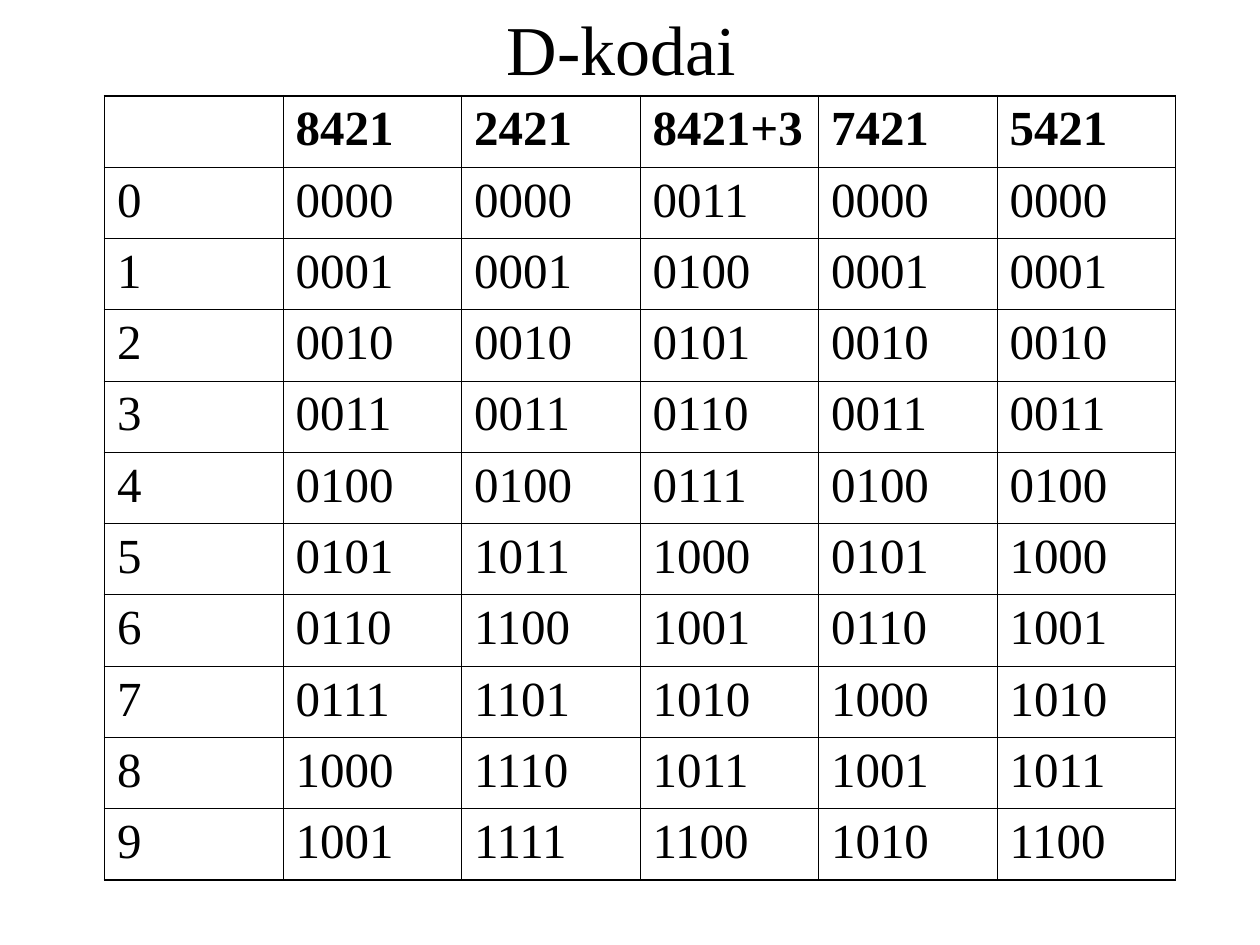
"""Build a slide with a table of decimal digit codes."""

import dataclasses
import typing

import pptx
import pptx.dml.color
import pptx.enum.text
import pptx.oxml
import pptx.oxml.ns
import pptx.util

Pt = pptx.util.Pt


@dataclasses.dataclass(frozen=True)
class Theme:
    font: str = "Times New Roman"
    ink: str = "000000"
    title: float = 40
    body: float = 28
    thin: float = 0.45
    thick: float = 1.08


@dataclasses.dataclass(frozen=True)
class Code:
    name: str
    words: str


THEME = Theme()
CODES = (
    Code("", "0 1 2 3 4 5 6 7 8 9"),
    Code("8421", "0000 0001 0010 0011 0100 0101 0110 0111 1000 1001"),
    Code("2421", "0000 0001 0010 0011 0100 1011 1100 1101 1110 1111"),
    Code("8421+3", "0011 0100 0101 0110 0111 1000 1001 1010 1011 1100"),
    Code("7421", "0000 0001 0010 0011 0100 0101 0110 1000 1001 1010"),
    Code("5421", "0000 0001 0010 0011 0100 1000 1001 1010 1011 1100"),
)
LEFT, TOP, WIDE, HIGH = 59.75, 54.75, 102, 40.75
INSETS = {
    "margin_left": Pt(7.2),
    "margin_right": Pt(7.2),
    "margin_top": Pt(3.6),
    "margin_bottom": Pt(3.6),
}


def apply(target: typing.Any, values: dict[str, typing.Any]) -> None:
    for name, value in values.items():
        setattr(target, name, value)


def style(font: typing.Any, size: float, bold: bool = False) -> None:
    apply(font, {"name": THEME.font, "size": Pt(size), "bold": bold})
    font.color.rgb = pptx.dml.color.RGBColor.from_string(THEME.ink)


def border(cell: typing.Any, edges: dict[str, bool]) -> None:
    props = cell._tc.get_or_add_tcPr()
    for side, outer in edges.items():
        width = Pt(THEME.thick if outer else THEME.thin)
        props.append(pptx.oxml.parse_xml(
            f'<a:{side} {pptx.oxml.ns.nsdecls("a")} w="{width}"><a:solidFill>'
            f'<a:srgbClr val="{THEME.ink}"/></a:solidFill></a:{side}>'
        ))


def head(slide: typing.Any, text: str) -> None:
    title = slide.shapes.title
    place = {"left": Pt(54), "top": Pt(0), "width": Pt(612), "height": Pt(TOP)}
    apply(title, place)
    frame = title.text_frame
    apply(frame, INSETS | {
        "text": text,
        "word_wrap": True,
        "auto_size": pptx.enum.text.MSO_AUTO_SIZE.NONE,
        "vertical_anchor": pptx.enum.text.MSO_ANCHOR.MIDDLE,
    })
    line = frame.paragraphs[0]
    line.alignment = pptx.enum.text.PP_ALIGN.CENTER
    style(line.runs[0].font, THEME.title)


def grid(slide: typing.Any, codes: tuple[Code, ...]) -> None:
    cols = [[code.name, *code.words.split()] for code in codes]
    wide, high = len(cols), len(cols[0])
    table = slide.shapes.add_table(
        high, wide, Pt(LEFT), Pt(TOP), Pt(WIDE * wide), Pt(HIGH * high)
    ).table
    apply(table, {"first_row": False, "horz_banding": False})
    for col in table.columns:
        col.width = Pt(WIDE)
    for row in table.rows:
        row.height = Pt(HIGH)
    for x, col in enumerate(cols):
        for y, text in enumerate(col):
            cell = table.cell(y, x)
            apply(cell, INSETS | {"text": text})
            border(cell, {
                "lnL": x == 0,
                "lnR": x == wide - 1,
                "lnT": y == 0,
                "lnB": y == high - 1,
            })
            cell.fill.background()
            for run in cell.text_frame.paragraphs[0].runs:
                style(run.font, THEME.body, y == 0)


def main() -> None:
    deck = pptx.Presentation()
    apply(deck, {"slide_width": Pt(720), "slide_height": Pt(540)})
    slide = deck.slides.add_slide(deck.slide_layouts[5])
    head(slide, "D-kodai ")
    grid(slide, CODES)
    deck.save("out.pptx")


if __name__ == "__main__":
    main()
